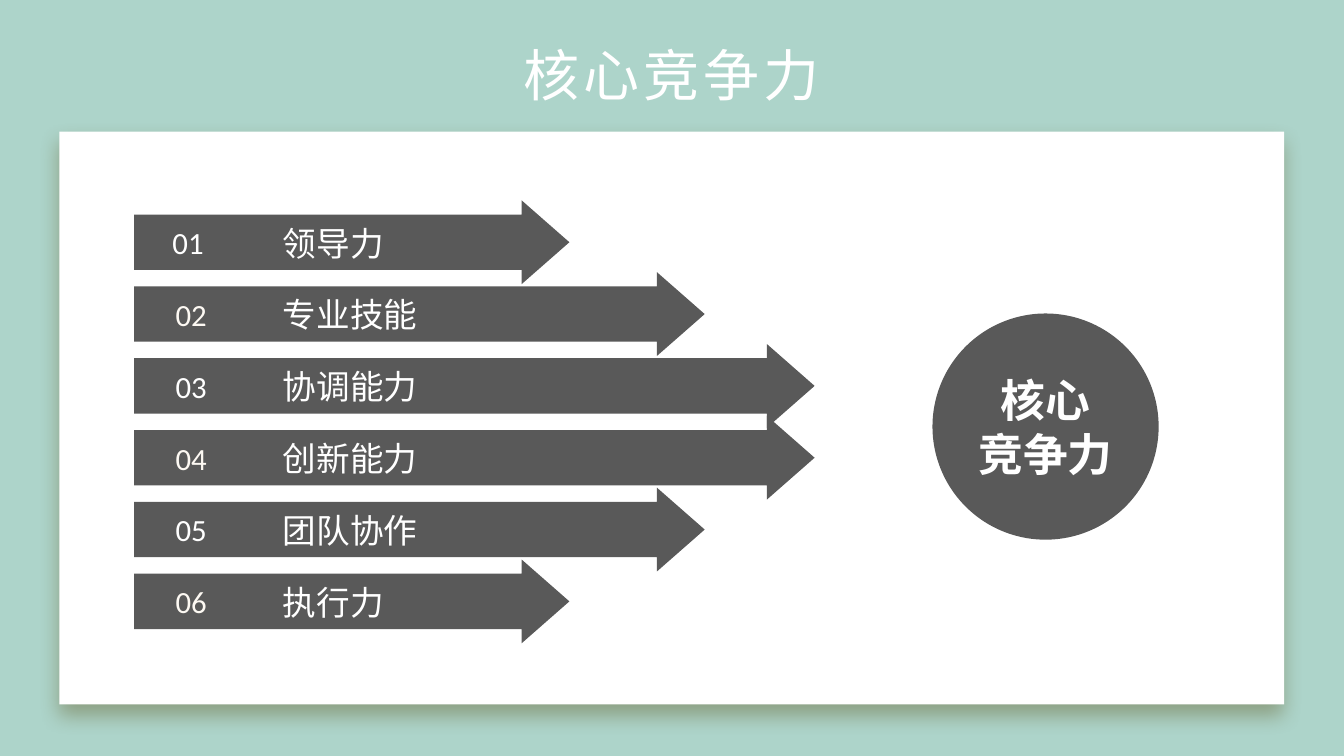
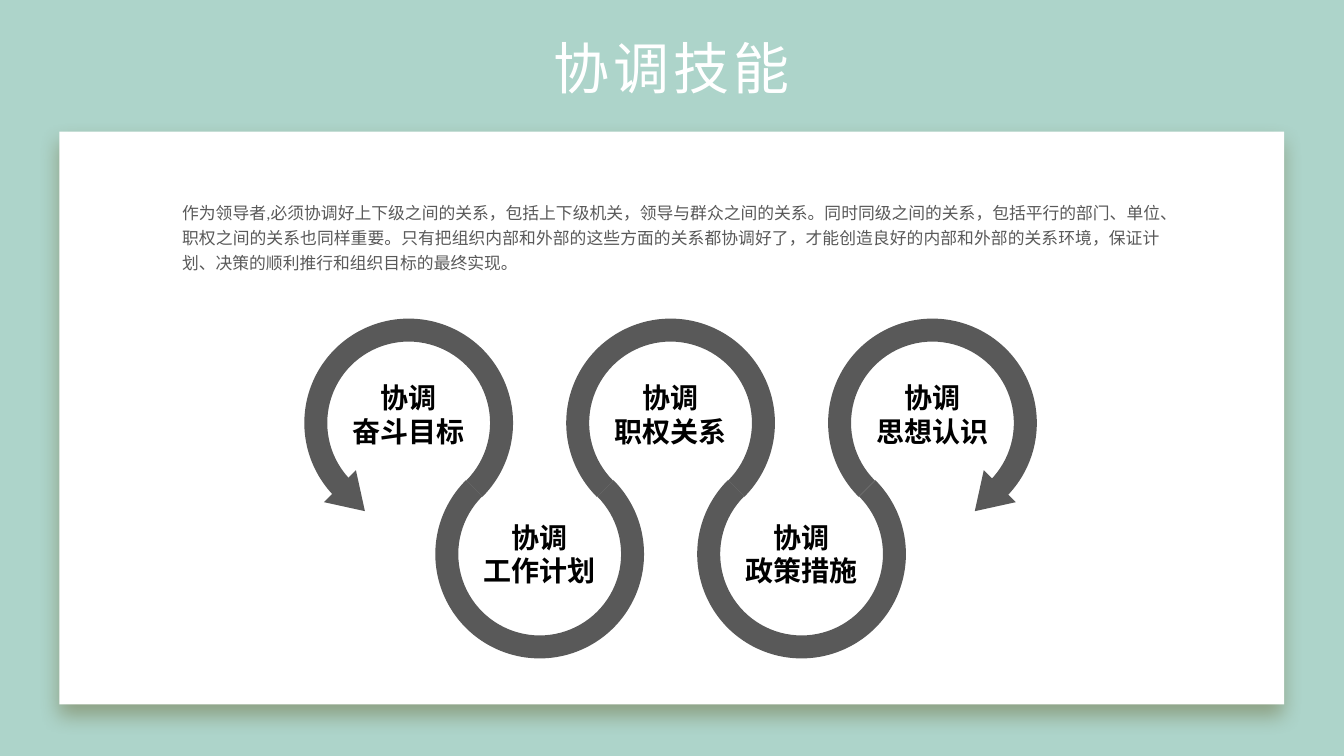
from dataclasses import dataclass
from typing import Any

from lxml import etree
from pptx import Presentation
from pptx import util as u
from pptx.dml.color import RGBColor
from pptx.enum import lang, shapes, text
from pptx.oxml import ns

MINT = RGBColor(0xAD, 0xD4, 0xCA)
WHITE = RGBColor(0xFF, 0xFF, 0xFF)
CREAM = RGBColor(0xFD, 0xF9, 0xF3)
GRAY = RGBColor(0x59, 0x59, 0x59)
BLACK = RGBColor(0, 0, 0)
SHADOW = RGBColor(0x5D, 0x54, 0x19)

CENTER = text.PP_ALIGN.CENTER
MIDDLE = text.MSO_ANCHOR.MIDDLE
NO_MARGINS = {"margin_left": 0, "margin_right": 0, "margin_top": 0, "margin_bottom": 0}
FONT = {"name": "Calibri", "language_id": lang.MSO_LANGUAGE_ID.SIMPLIFIED_CHINESE}


@dataclass(frozen=True)
class Box:
    left: float
    top: float
    width: float
    height: float

    def lengths(self) -> tuple[u.Cm, ...]:
        return tuple(u.Cm(value) for value in (self.left, self.top, self.width, self.height))


@dataclass(frozen=True)
class TextStyle:
    font: dict[str, Any]
    color: RGBColor
    frame: dict[str, Any]
    paragraph: dict[str, Any]


@dataclass(frozen=True)
class Strength:
    label: str
    arrow_width: float
    number_width: float = 1.2


@dataclass(frozen=True)
class Arrowhead:
    left: float
    rotation: int


@dataclass(frozen=True)
class Topic:
    label: str
    arrowhead: Arrowhead | None = None


TITLE = TextStyle(
    {"size": u.Pt(40)}, WHITE,
    {"vertical_anchor": MIDDLE, "margin_left": u.Cm(0.18), "margin_right": u.Cm(0.18),
     "margin_top": u.Cm(0.1), "margin_bottom": u.Cm(0.1)},
    {"alignment": CENTER})
NUMBERS = [TextStyle({"size": u.Pt(22)}, color,
                     {"vertical_anchor": MIDDLE, "word_wrap": False,
                      "margin_left": 0, "margin_right": 0},
                     {"alignment": CENTER}) for color in (WHITE, CREAM)]
STRENGTH = TextStyle({"size": u.Pt(24)}, WHITE, {"vertical_anchor": MIDDLE}, {})
CORE = TextStyle({"size": u.Pt(32), "bold": True}, WHITE,
                 {"vertical_anchor": MIDDLE, **NO_MARGINS}, {"alignment": CENTER})
TOPIC = TextStyle({"size": u.Pt(20), "bold": True}, BLACK, {}, {"alignment": CENTER})
BODY = TextStyle({"size": u.Pt(12)}, GRAY, {},
                 {"alignment": text.PP_ALIGN.JUSTIFY, "line_spacing": u.Pt(18)})

STRENGTHS = [
    Strength("领导力", 10.97, 1.04),
    Strength("专业技能", 14.38),
    Strength("协调能力", 17.15),
    Strength("创新能力", 17.15),
    Strength("团队协作", 14.38),
    Strength("执行力", 10.97),
]
TOPICS = [
    Topic("奋斗目标", Arrowhead(8.31, 135)),
    Topic("工作计划"),
    Topic("职权关系"),
    Topic("政策措施"),
    Topic("思想认识", Arrowhead(24.31, 225)),
]
INTRODUCTION = (
    "作为领导者,必须协调好上下级之间的关系，包括上下级机关，领导与群众之间的关系。"
    "同时同级之间的关系，包括平行的部门、单位、职权之间的关系也同样重要。"
    "只有把组织内部和外部的这些方面的关系都协调好了，才能创造良好的内部和外部的关系环境，"
    "保证计划、决策的顺利推行和组织目标的最终实现。"
)


def apply(target: Any, values: dict[str, Any]) -> None:
    for name, value in values.items():
        setattr(target, name, value)


def write(shape: Any, lines: list[str], style: TextStyle) -> None:
    frame = shape.text_frame
    apply(frame, {"word_wrap": True, **style.frame})
    for index, line in enumerate(lines):
        paragraph = frame.paragraphs[0] if index == 0 else frame.add_paragraph()
        apply(paragraph, style.paragraph)
        run = paragraph.add_run()
        run.text = line
        apply(run.font, {**FONT, **style.font})
        run.font.color.rgb = style.color


def add_text(slide: Any, box: Box, lines: list[str], style: TextStyle) -> Any:
    shape = slide.shapes.add_textbox(*box.lengths())
    write(shape, lines, style)
    return shape


def add_solid(parent: Any, kind: shapes.MSO_SHAPE, box: Box, color: RGBColor = GRAY,
              adjustments: tuple[float, ...] = (), rotation: float = 0) -> Any:
    shape = parent.shapes.add_shape(kind, *box.lengths())
    shape.shadow.inherit = False
    shape.fill.solid()
    shape.fill.fore_color.rgb = color
    shape.line.fill.background()
    shape.rotation = rotation
    for index, value in enumerate(adjustments):
        shape.adjustments[index] = value
    return shape


def add_panel_shadow(panel: Any) -> None:
    effects = panel.element.spPr.find(ns.qn("a:effectLst"))
    shadow = etree.SubElement(effects, ns.qn("a:outerShdw"), blurRad=str(u.Pt(15)),
                              dist=str(u.Pt(8)), dir="5400000", algn="t", rotWithShape="0")
    color = etree.SubElement(shadow, ns.qn("a:srgbClr"), val=str(SHADOW))
    etree.SubElement(color, ns.qn("a:alpha"), val="40000")


def add_slide(presentation: Any, title: str, title_top: float) -> Any:
    slide = presentation.slides.add_slide(presentation.slide_layouts[6])
    panel = add_solid(slide, shapes.MSO_SHAPE.RECTANGLE, Box(1.5, 3.32, 30.86, 14.43), WHITE)
    add_panel_shadow(panel)
    heading = add_text(slide, Box(9.8, title_top, 14.25, 1.55), [title], TITLE)
    heading.text_frame.paragraphs[0].runs[0].font._element.set("spc", "300")
    return slide


def build_strengths(presentation: Any) -> None:
    slide = add_slide(presentation, "核心竞争力", 1.09)
    first_top, pitch = 5.05, 1.81
    for index, strength in enumerate(STRENGTHS):
        top = first_top + index * pitch
        add_solid(slide, shapes.MSO_SHAPE.RIGHT_ARROW,
                  Box(3.38, top, strength.arrow_width, 2.11), adjustments=(0.66, 0.57))
        add_text(slide, Box(4.22, top + 0.46, strength.number_width, 1.19),
                 [f"{index + 1:02}"], NUMBERS[index % 2])
        add_text(slide, Box(6.88, top + 0.43, 4.67, 1.27), [strength.label], STRENGTH)
    circle = add_solid(slide, shapes.MSO_SHAPE.OVAL, Box(23.5, 7.9, 5.7, 5.7))
    write(circle, ["核心", "竞争力"], CORE)


def build_topics(presentation: Any) -> None:
    slide = add_slide(presentation, "协调技能", 0.91)
    add_text(slide, Box(4.34, 4.85, 25.17, 2.26), [INTRODUCTION], BODY)
    first_left, first_top, pitch, diameter, label_width = 7.67, 8.03, 3.3, 5.26, 4.2
    for index, topic in enumerate(TOPICS):
        lower = index % 2
        left, top = first_left + index * pitch, first_top + lower * pitch
        parent = slide.shapes.add_group_shape() if topic.arrowhead else slide
        add_solid(parent, shapes.MSO_SHAPE.BLOCK_ARC, Box(left, top, diameter, diameter),
                  adjustments=(81, 27, 0.11), rotation=180 * lower)
        if topic.arrowhead:
            add_solid(parent, shapes.MSO_SHAPE.ISOSCELES_TRIANGLE,
                      Box(topic.arrowhead.left, 12.12, 1.14, 0.89),
                      rotation=topic.arrowhead.rotation)
        label_top = top + (1.65 if lower else 1.44)
        add_text(slide, Box(left + (diameter - label_width) / 2, label_top, label_width, 1.96),
                 ["协调", topic.label], TOPIC)


def main() -> None:
    presentation = Presentation()
    apply(presentation, {"slide_width": u.Cm(33.87), "slide_height": u.Cm(19.05)})
    background = presentation.slide_master.background.fill
    background.solid()
    background.fore_color.rgb = MINT
    build_strengths(presentation)
    build_topics(presentation)
    presentation.save("out.pptx")


if __name__ == "__main__":
    main()
